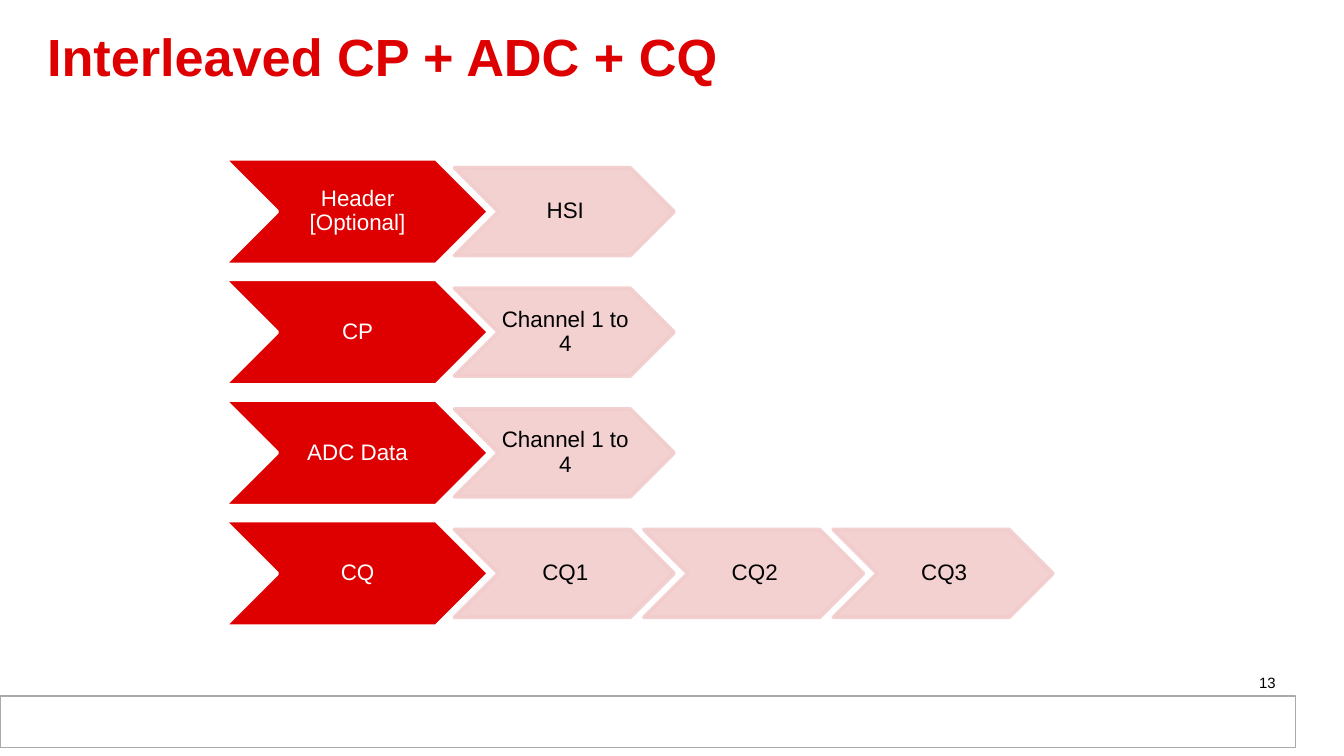
from lxml import etree
from pptx import Presentation
from pptx.dml.color import RGBColor
from pptx.enum.shapes import MSO_SHAPE
from pptx.enum.text import MSO_ANCHOR, PP_ALIGN
from pptx.oxml.ns import qn
from pptx.util import Cm, Pt

RECT, CHEVRON = MSO_SHAPE.RECTANGLE, MSO_SHAPE.CHEVRON
TOP, MIDDLE = MSO_ANCHOR.TOP, MSO_ANCHOR.MIDDLE
LEFT, CENTER, RIGHT = PP_ALIGN.LEFT, PP_ALIGN.CENTER, PP_ALIGN.RIGHT

RED, PINK, WHITE, BLACK, GREY = "DE0000", "F2CCCC", "FFFFFF", "000000", "AAAAAA"

TITLE = "Interleaved CP + ADC + CQ"
PAGE = "13"
ROWS = [
    ("Header [Optional]", ["HSI"]),
    ("CP", ["Channel 1 to 4"]),
    ("ADC Data", ["Channel 1 to 4"]),
    ("CQ", ["CQ1", "CQ2", "CQ3"]),
]

ROW_TOP, ROW_STEP = 3.0, 2.28
HEAD_LEFT, HEAD_W, HEAD_H = 4.24, 5.0, 2.0
PART_LEFT, PART_STEP, PART_W, PART_H = 8.59, 3.58, 4.15, 1.66
BOX_INSETS = (0.25, 0.13, 0.25, 0.13)
CHEVRON_INSETS = (0.04, 0.02, 0, 0.02)


def rgb(color):
    return RGBColor.from_string(color)


def set_alpha(fill, percent):
    color = fill.fore_color._xFill.find(qn("a:srgbClr"))
    etree.SubElement(color, qn("a:alpha")).set("val", str(percent * 1000))


def add_shape(kind, x, y, w, h, fill, line=None, line_width=0.75):
    sp = slide.shapes.add_shape(kind, Cm(x), Cm(y), Cm(w), Cm(h))
    sp.shadow.inherit = False
    sp.fill.solid()
    sp.fill.fore_color.rgb = rgb(fill)
    if line:
        sp.line.color.rgb = rgb(line)
        sp.line.width = Pt(line_width)
    else:
        sp.line.fill.background()
    return sp


def write(sp, text, size, color, align, anchor, insets, spacing=1.0, bold=False):
    tf = sp.text_frame
    tf.word_wrap = True
    tf.vertical_anchor = anchor
    tf.margin_left, tf.margin_top, tf.margin_right, tf.margin_bottom = map(Cm, insets)
    tf.text = text
    p = tf.paragraphs[0]
    p.alignment = align
    p.line_spacing = spacing
    font = p.runs[0].font
    font.name, font.size, font.bold = "Arial", Pt(size), bold
    font.color.rgb = rgb(color)


def add_text(x, y, w, h, *args, **kwargs):
    write(slide.shapes.add_textbox(Cm(x), Cm(y), Cm(w), Cm(h)), *args, **kwargs)


def add_chevron(x, y, w, h, text, fill, line, color):
    sp = add_shape(CHEVRON, x, y, w, h, fill, line, 2)
    write(sp, text, 12, color, CENTER, MIDDLE, CHEVRON_INSETS, spacing=0.9)
    return sp


prs = Presentation()
prs.slide_width, prs.slide_height = Cm(25.4), Cm(14.29)
slide = prs.slides.add_slide(prs.slide_layouts[6])

add_shape(RECT, 0.13, 13.18, 24.28, 0.97, WHITE)
add_shape(RECT, 0, 13.16, 24.49, 0.97, WHITE, GREY)
add_text(0.64, 0.3, 23.5, 1.7, TITLE, 28, RED, LEFT, MIDDLE, BOX_INSETS,
         spacing=0.85, bold=True)
add_text(18.44, 12.6, 5.92, 0.43, PAGE, 8, BLACK, RIGHT, TOP, BOX_INSETS)

for row, (head, parts) in enumerate(ROWS):
    y = ROW_TOP + row * ROW_STEP
    add_chevron(HEAD_LEFT, y, HEAD_W, HEAD_H, head, RED, WHITE, WHITE)
    for col, part in enumerate(parts):
        sp = add_chevron(PART_LEFT + col * PART_STEP, y + (HEAD_H - PART_H) / 2,
                         PART_W, PART_H, part, PINK, PINK, BLACK)
        set_alpha(sp.fill, 90)
        set_alpha(sp.line.fill, 90)

prs.save("out.pptx")
